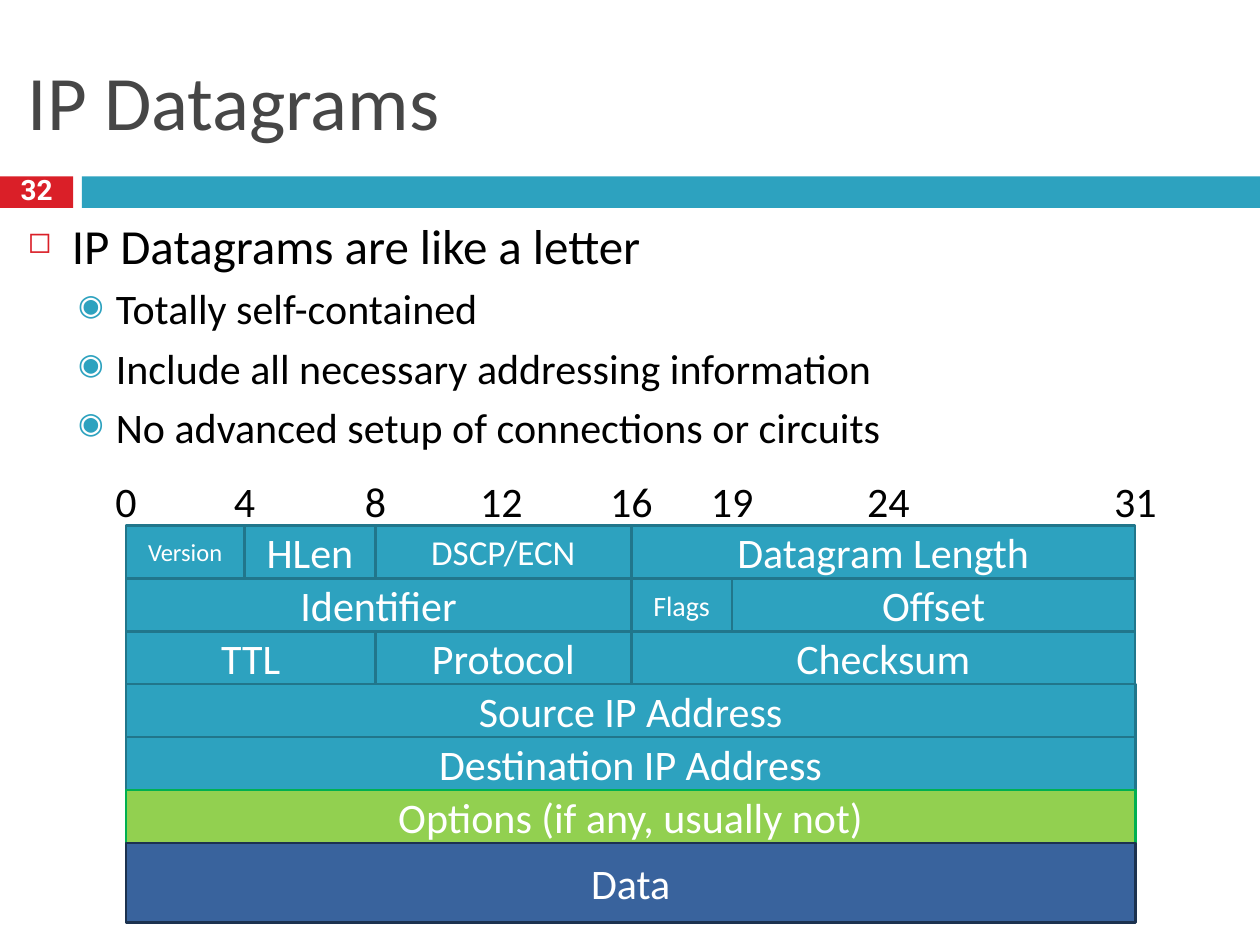
from dataclasses import dataclass

from lxml.etree import SubElement
from pptx import Presentation
from pptx.dml.color import RGBColor
from pptx.enum.shapes import MSO_SHAPE
from pptx.enum.text import MSO_ANCHOR, PP_ALIGN
from pptx.oxml.ns import qn
from pptx.util import Inches, Pt


@dataclass(frozen=True)
class Theme:
    font: str = "Calibri"
    number_font: str = "Roboto"
    title: str = "464646"
    text: str = "000000"
    light: str = "FFFFFF"
    red: str = "DA1F28"
    teal: str = "2DA2BF"
    teal_edge: str = "21768B"
    green: str = "92D050"
    green_edge: str = "00B050"
    blue: str = "39639D"
    blue_edge: str = "1C324F"
    title_size: int = 44
    lead_size: int = 28
    text_size: int = 24
    medium_size: int = 20
    small_size: int = 16
    tiny_size: int = 14
    edge_width: float = 1.5


THEME = Theme()

# Horizontal place of each bit number on the ruler, in inches
BIT_LEFT = {0: 1, 4: 1.94, 8: 2.98, 12: 3.98, 16: 5.01, 19: 5.81, 24: 7.05, 31: 9.01}
ROW_HEIGHT = 0.42
DATA_HEIGHT = 0.63

TEAL = (THEME.teal, THEME.teal_edge)
GREEN = (THEME.green, THEME.green_edge)
BLUE = (THEME.blue, THEME.blue_edge)

# Each row: height, (fill, edge), fields as (first bit, end bit, label, size)
HEADER_ROWS = [
    (ROW_HEIGHT, TEAL, [(0, 4, "Version", THEME.tiny_size),
                        (4, 8, "HLen", THEME.text_size),
                        (8, 16, "DSCP/ECN", THEME.medium_size),
                        (16, 31, "Datagram Length", THEME.text_size)]),
    (ROW_HEIGHT, TEAL, [(0, 16, "Identifier", THEME.text_size),
                        (16, 19, "Flags", THEME.small_size),
                        (19, 31, "Offset", THEME.text_size)]),
    (ROW_HEIGHT, TEAL, [(0, 8, "TTL", THEME.text_size),
                        (8, 16, "Protocol", THEME.text_size),
                        (16, 31, "Checksum", THEME.text_size)]),
    (ROW_HEIGHT, TEAL, [(0, 31, "Source IP Address", THEME.text_size)]),
    (ROW_HEIGHT, TEAL, [(0, 31, "Destination IP Address", THEME.text_size)]),
    (ROW_HEIGHT, GREEN, [(0, 31, "Options (if any, usually not)", THEME.text_size)]),
    (DATA_HEIGHT, BLUE, [(0, 31, "Data", THEME.text_size)]),
]

POINTS = [
    (0, "IP Datagrams are like a letter"),
    (1, "Totally self-contained"),
    (1, "Include all necessary addressing information"),
    (1, "No advanced setup of connections or circuits"),
]

# Per level: left margin, hanging indent, space before, size, bullet, colour, percent
LEVELS = [
    (0.35, 0.35, 7, THEME.lead_size, "◻", THEME.red, 60),
    (0.7, 0.3, 5, THEME.text_size, "◉", THEME.teal, 70),
]


def set_text(para, text, size, color, align=PP_ALIGN.LEFT, font=THEME.font):
    para.text = text
    para.alignment = align
    para.font.size = Pt(size)
    para.font.name = font
    para.font.color.rgb = RGBColor.from_string(color)


def set_frame(frame, anchor, vertical_margin):
    frame.word_wrap = True
    frame.vertical_anchor = anchor
    frame.margin_left = frame.margin_right = Inches(0.05)
    frame.margin_top = frame.margin_bottom = Inches(vertical_margin)


def add_frame(page, box, anchor=MSO_ANCHOR.MIDDLE):
    """Add a text box with even insets and return its text frame."""
    frame = page.shapes.add_textbox(*map(Inches, box)).text_frame
    set_frame(frame, anchor, 0.05)
    return frame


def add_block(page, box, fill, edge=None):
    """Add a filled rectangle and return its text frame."""
    block = page.shapes.add_shape(MSO_SHAPE.RECTANGLE, *map(Inches, box))
    block.shadow.inherit = False
    block.fill.solid()
    block.fill.fore_color.rgb = RGBColor.from_string(fill)
    if edge:
        block.line.color.rgb = RGBColor.from_string(edge)
        block.line.width = Pt(THEME.edge_width)
    else:
        block.line.fill.background()
    set_frame(block.text_frame, MSO_ANCHOR.MIDDLE, 0)
    return block.text_frame


def set_bullet(para, margin, hanging, symbol, color, percent):
    properties = para._p.get_or_add_pPr()
    properties.set("marL", str(Inches(margin)))
    properties.set("indent", str(-Inches(hanging)))
    bullet_color = SubElement(properties, qn("a:buClr"))
    SubElement(bullet_color, qn("a:srgbClr"), val=color)
    SubElement(properties, qn("a:buSzPct"), val=str(percent * 1000))
    SubElement(properties, qn("a:buChar"), char=symbol)


def add_title(page, box, text):
    para = add_frame(page, box).paragraphs[0]
    set_text(para, text, THEME.title_size, THEME.title)


def add_number_band(page, box, number):
    """Add the red tab holding the number and the teal bar to its right."""
    left, top, width, height = box
    tab_width, bar_offset = 0.58, 0.65
    add_block(page, (left + bar_offset, top, width - bar_offset, height), THEME.teal)
    para = add_block(page, (left, top, tab_width, height), THEME.red).paragraphs[0]
    set_text(para, number, THEME.small_size, THEME.light, PP_ALIGN.CENTER, THEME.number_font)
    para.font.bold = True
    para.line_spacing = 0.8


def add_points(page, box, points):
    frame = add_frame(page, box, MSO_ANCHOR.TOP)
    for index, (level, text) in enumerate(points):
        para = frame.add_paragraph() if index else frame.paragraphs[0]
        margin, hanging, space, size, symbol, color, percent = LEVELS[level]
        set_text(para, text, size, THEME.text)
        para.level = level
        para.space_before = Pt(space)
        set_bullet(para, margin, hanging, symbol, color, percent)


def add_bit_ruler(page, top):
    width, height = 0.65, 0.48
    for bit, center in BIT_LEFT.items():
        frame = add_frame(page, (center - width / 2, top, width, height))
        set_text(frame.paragraphs[0], str(bit), THEME.text_size, THEME.text, PP_ALIGN.CENTER)


def add_datagram(page, top, rows):
    """Stack the header rows, each field spanning its bits on the ruler."""
    for height, colors, fields in rows:
        for first, end, label, size in fields:
            left = BIT_LEFT[first]
            frame = add_block(page, (left, top, BIT_LEFT[end] - left, height), *colors)
            set_text(frame.paragraphs[0], label, size, THEME.light, PP_ALIGN.CENTER)
        top += height


def main():
    deck = Presentation()
    deck.slide_width, deck.slide_height = Inches(10), Inches(7.5)
    page = deck.slides.add_slide(deck.slide_layouts[6])
    add_number_band(page, (0, 1.4, 10, 0.25), "32")
    add_title(page, (0.17, 0.25, 9.67, 1.08), "IP Datagrams")
    add_points(page, (0.17, 1.66, 9.67, 2.25), POINTS)
    add_bit_ruler(page, 3.73)
    add_datagram(page, 4.17, HEADER_ROWS)
    deck.save("out.pptx")


if __name__ == "__main__":
    main()
